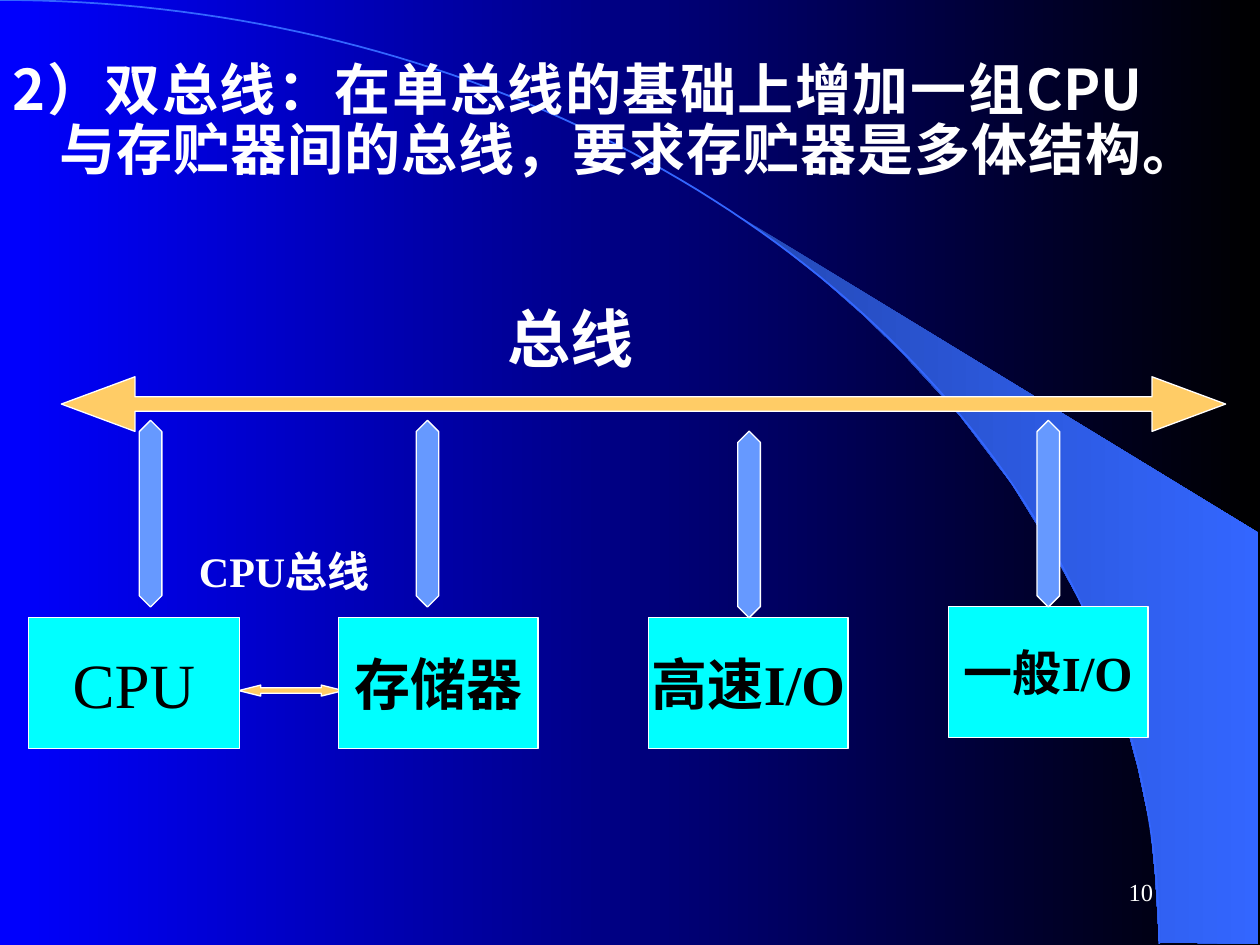
from math import cos, pi, sin

from lxml.etree import SubElement
from pptx import Presentation
from pptx.dml.color import RGBColor
from pptx.enum.shapes import MSO_SHAPE
from pptx.enum.text import MSO_ANCHOR, PP_ALIGN
from pptx.oxml.ns import qn
from pptx.util import Pt

W, H = 720, 540
SERIF, SANS = "Times New Roman", "Noto Sans CJK SC"
WHITE, BLACK, CYAN, AMBER, BLUE = "FFFFFF", "000000", "00FFFF", "FFCC66", "6699FF"

BEAM = [(662.4, 538.6), (719.3, 539.3), (719.3, 304.6), (424.1, 124.6), (449.3, 143.3),
        (470.2, 159.8), (493.2, 180), (515.5, 201.6), (548.6, 237.6), (578.2, 276.5),
        (599, 310.3), (617.8, 344.9), (632.2, 380.2), (643, 411.8), (650.2, 438.5),
        (657.4, 472.3), (660.2, 501.1)]
ARC_W, ARC_H, ARC_STEPS = 662.4, 539.3, 90

TITLE = "2）双总线：在单总线的基础上增加一组CPU与存贮器间的总线，要求存贮器是多体结构。"
LABELS = [
    (TITLE, (0, 31.7, 660.2, 77.8), 32, True, SANS, PP_ALIGN.JUSTIFY),
    ("总线", (139, 167.8, 373.7, 50.4), 36, True, SERIF, PP_ALIGN.CENTER),
    ("CPU总线", (106.6, 308.2, 126, 36), 24, True, SERIF, PP_ALIGN.LEFT),
    ("10", (516.2, 491.8, 149.8, 36), 14, False, SERIF, PP_ALIGN.RIGHT),
]
BOX_H = 74.9
BOXES = [
    ("CPU", 16.3, 352.8, 120.5, 36, False),
    ("存储器", 193.5, 352.8, 114, 32, True),
    ("高速I/O", 370.7, 352.8, 114, 32, True),
    ("一般I/O", 542, 346.5, 114, 28, True),
]
BUSES = [((35.1, 215.3, 665.3, 31.2), (0.264, 1.347)),
         ((136.4, 391.5, 59.8, 6.3), (0.5, 2))]
LINK_W, LINK_H = 12.9, 106.7
LINKS = [(79.6, 240.2), (237.8, 240.2), (421.6, 246.4), (592.6, 240.2)]


def color(h):
    return RGBColor.from_string(h)


def gradient(fill, start, end):
    fill.gradient()
    fill.gradient_angle = 0
    for stop, h in zip(fill.gradient_stops, (start, end)):
        stop.color.rgb = color(h)


def write(tf, text, size, bold, font, c, align):
    tf.vertical_anchor = MSO_ANCHOR.MIDDLE
    p = tf.paragraphs[0]
    p.alignment = align
    r = p.add_run()
    r.text = text
    f = r.font
    f.size, f.bold, f.name = Pt(size), bold, font
    f.color.rgb = color(c)
    SubElement(f._element, qn("a:ea")).set("typeface", SANS)
    return p


def add_shape(kind, box, fill, adj=()):
    sp = s.shapes.add_shape(kind, *map(Pt, box))
    sp.shadow.inherit = False
    for i, a in enumerate(adj):
        sp.adjustments[i] = a
    sp.fill.solid()
    sp.fill.fore_color.rgb = color(fill)
    sp.line.color.rgb = color(WHITE)
    sp.line.width = Pt(0.75)
    return sp


def add_outline(points, close):
    pts = [(Pt(x), Pt(y)) for x, y in points]
    fb = s.shapes.build_freeform(*pts[0])
    fb.add_line_segments(pts[1:], close=close)
    sp = fb.convert_to_shape()
    sp.shadow.inherit = False
    return sp


prs = Presentation()
prs.slide_width, prs.slide_height = Pt(W), Pt(H)
s = prs.slides.add_slide(prs.slide_layouts[6])
gradient(s.background.fill, "0000FF", BLACK)

beam = add_outline(BEAM, True)
gradient(beam.fill, "2449B6", "3366FF")
beam.line.fill.background()

angles = [i * pi / 2 / ARC_STEPS for i in range(ARC_STEPS + 1)]
arc = add_outline([(ARC_W * sin(a), ARC_H * (1 - cos(a))) for a in angles], False)
arc.fill.background()
arc.line.color.rgb = color("3366FF")
arc.line.width = Pt(1)

for box, adj in BUSES:
    add_shape(MSO_SHAPE.LEFT_RIGHT_ARROW, box, AMBER, adj)

for text, x, y, w, size, bold in BOXES:
    tf = add_shape(MSO_SHAPE.RECTANGLE, (x, y, w, BOX_H), CYAN).text_frame
    tf.word_wrap = False
    write(tf, text, size, bold, SERIF, BLACK, PP_ALIGN.CENTER)

for x, y in LINKS:
    add_shape(MSO_SHAPE.UP_DOWN_ARROW, (x, y, LINK_W, LINK_H), BLUE, (0.5, 1.68))

for text, box, size, bold, font, align in LABELS:
    tf = s.shapes.add_textbox(*map(Pt, box)).text_frame
    tf.word_wrap = True
    p = write(tf, text, size, bold, font, WHITE, align)
    if text == TITLE:
        tf.vertical_anchor = MSO_ANCHOR.TOP
        p.line_spacing = 0.9
        pPr = p._p.get_or_add_pPr()
        pPr.set("marL", str(Pt(27)))
        pPr.set("indent", str(-Pt(27)))

prs.save("out.pptx")
